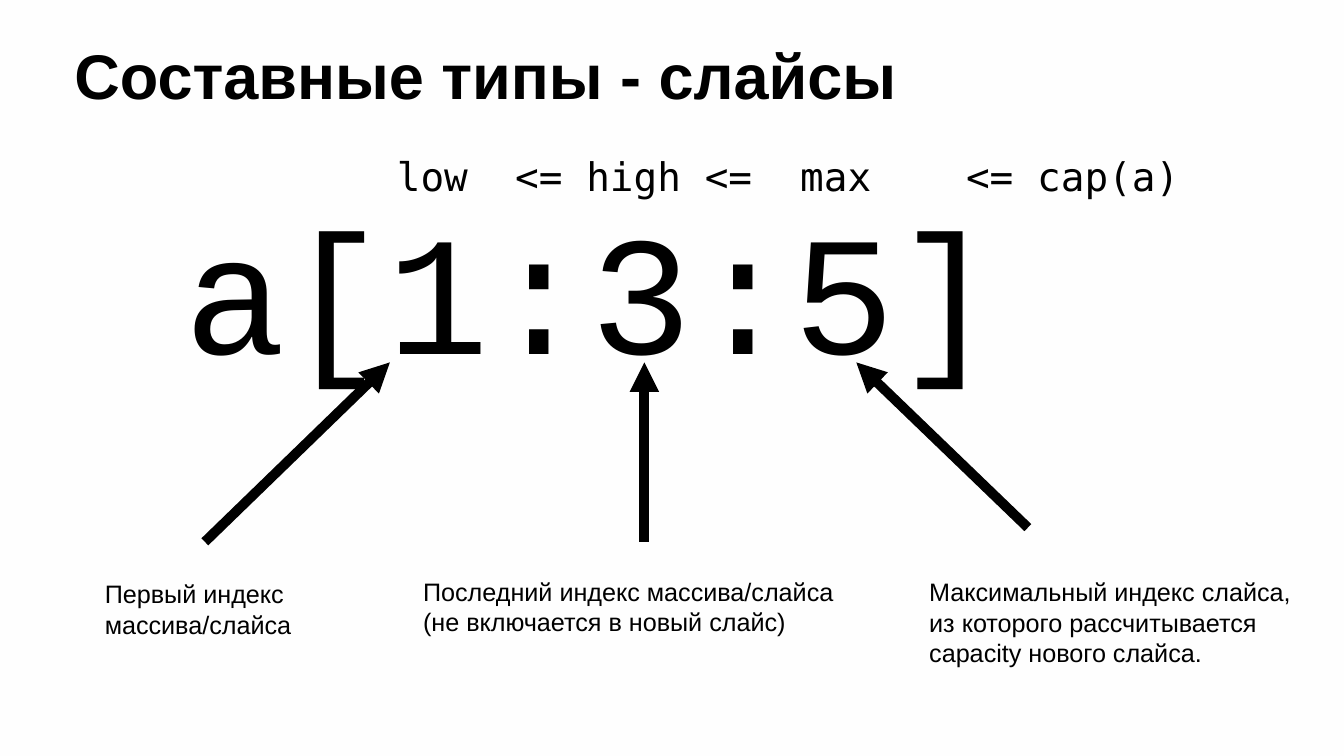
import dataclasses

import lxml.etree
import pptx
import pptx.dml.color
import pptx.enum.shapes
import pptx.enum.text
import pptx.oxml.ns
import pptx.util

PX = 9144  # EMU per px, at 100 px to the inch


@dataclasses.dataclass(frozen=True)
class Theme:
    paper: str = "FEFEFE"
    ink: str = "000000"
    sans: str = "Arial"
    code: str = "Courier New"
    mono: str = "DejaVu Sans Mono"
    title: float = 64
    slice_code: float = 172
    bounds: float = 40
    label: float = 25.6
    arrow: float = 10


theme = Theme()
ink = pptx.dml.color.RGBColor.from_string(theme.ink)
qn = pptx.oxml.ns.qn


def add_text(box, text, font, size, bold=False, tabs=()):
    sp = slide.shapes.add_textbox(*(v * PX for v in box))
    tf = sp.text_frame
    tf.word_wrap = True
    tf.vertical_anchor = pptx.enum.text.MSO_ANCHOR.TOP
    tf.text = text
    for p in tf.paragraphs:
        if tabs:
            tab_list = lxml.etree.SubElement(p._p.get_or_add_pPr(), qn("a:tabLst"))
            for pos in tabs:
                lxml.etree.SubElement(tab_list, qn("a:tab"), pos=str(pos * PX), algn="l")
        p.font.name = font
        p.font.size = pptx.util.Pt(size)
        p.font.bold = bold
        p.font.color.rgb = ink
    return tf


prs = pptx.Presentation()
prs.slide_width, prs.slide_height = 1896 * PX, 1066 * PX
slide = prs.slides.add_slide(prs.slide_layouts[6])
slide.background.fill.solid()
slide.background.fill.fore_color.rgb = pptx.dml.color.RGBColor.from_string(theme.paper)

# Title
tf = add_text((105, 35, 1685, 175), "Составные типы - слайсы", theme.sans, theme.title, bold=True)
tf.margin_left = tf.margin_right = tf.margin_bottom = 0
tf.margin_top = 28 * PX
tf.paragraphs[0].line_spacing = 0.9

# Slice expression
add_text((250, 256, 1320, 300), "a[1:3:5]", theme.code, theme.slice_code)

# Arrows from the labels up to the indices
for x1, y1, x2 in [(289, 764, 550), (909, 764, 909), (1450, 744, 1208)]:
    arrow = slide.shapes.add_connector(
        pptx.enum.shapes.MSO_CONNECTOR.STRAIGHT, x1 * PX, y1 * PX, x2 * PX, 511 * PX)
    arrow.line.color.rgb = ink
    arrow.line.width = pptx.util.Pt(theme.arrow)
    lxml.etree.SubElement(arrow.line._get_or_add_ln(), qn("a:tailEnd"), type="triangle")
    lxml.etree.SubElement(arrow._element.spPr, qn("a:effectLst"))

# Index labels
labels = [
    ((1301, 808, 569, 182),
     "Максимальный индекс слайса, из которого рассчитывается capacity нового слайса."),
    ((587, 808, 642, 96), "Последний индекс массива/слайса\n(не включается в новый слайс)"),
    ((138, 811, 303, 96), "Первый индекс массива/слайса"),
]
for box, text in labels:
    add_text(box, text, theme.sans, theme.label)

# Bounds rule, with each name set above its index
add_text((550, 210, 1131, 77), "low\t<= high <=\tmax\t<= cap(a)",
         theme.mono, theme.bounds, tabs=(167, 569, 803))

prs.save("out.pptx")
